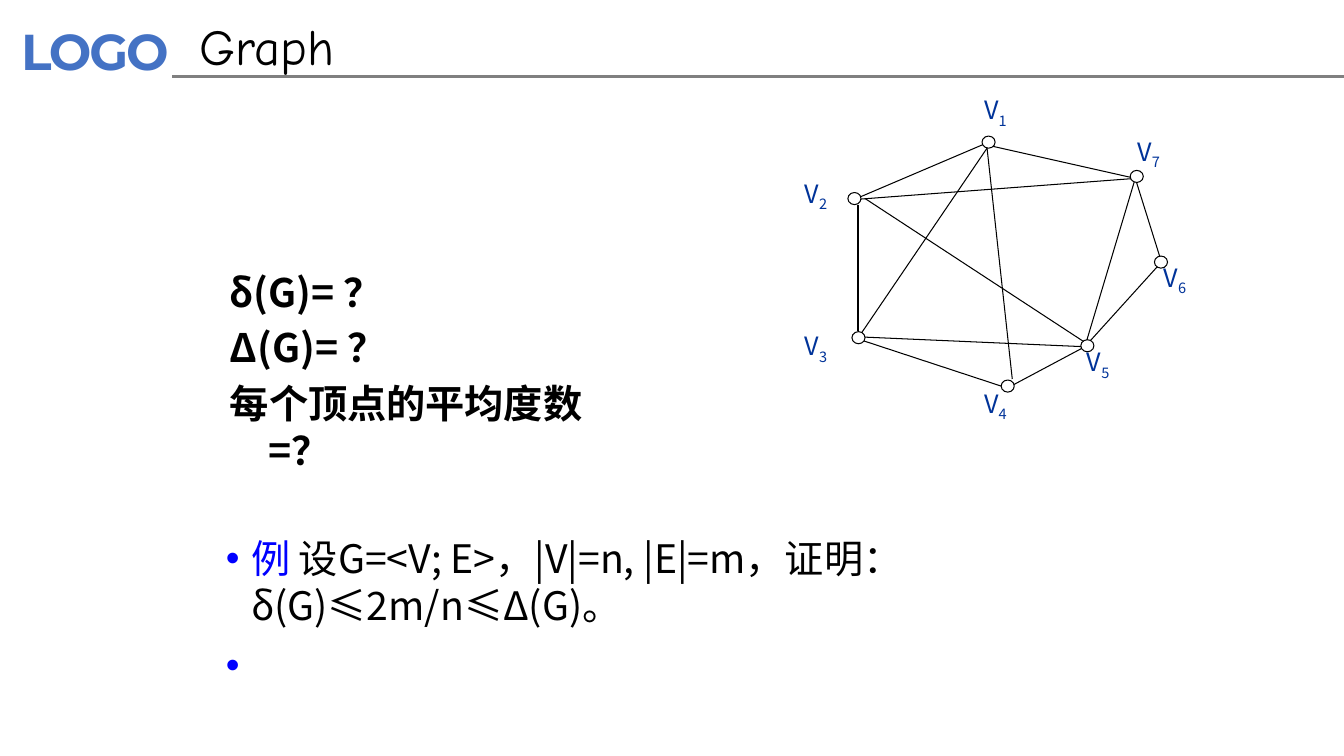
from typing import NamedTuple

from lxml.etree import SubElement
from pptx import Presentation
from pptx.dml.color import RGBColor
from pptx.enum.shapes import MSO_CONNECTOR as Connector, MSO_SHAPE as Shape
from pptx.enum.text import MSO_ANCHOR as Anchor, MSO_AUTO_SIZE as AutoSize, PP_ALIGN as Align
from pptx.oxml.ns import qn
from pptx.util import Emu, Pt

SANS = "Noto Sans CJK SC"
BLACK, WHITE, GRAY, BLUE, NAVY, LOGO_BLUE = (
    "000000", "FFFFFF", "808080", "0000FF", "003399", "4472C4")
EMU_PER_PX = 9144  # 100 px to the inch


class Box(NamedTuple):
    left: int
    top: int
    width: int
    height: int


class Vertex(NamedTuple):
    number: int
    left: int
    top: int
    label_left: int
    label_top: int


class Edge(NamedTuple):
    x1: int
    y1: int
    x2: int
    y2: int


VERTICES = [
    Vertex(1, 974, 135, 974, 94),
    Vertex(2, 841, 191, 796, 177),
    Vertex(3, 845, 329, 796, 328),
    Vertex(4, 993, 377, 974, 385),
    Vertex(5, 1072, 337, 1076, 344),
    Vertex(6, 1145, 254, 1152, 260),
    Vertex(7, 1121, 169, 1126, 135),
]
EDGES = [
    Edge(984, 145, 1126, 177),   # V1-V7
    Edge(976, 143, 847, 198),    # V1-V2
    Edge(979, 147, 852, 334),    # V1-V3
    Edge(979, 147, 1004, 376),   # V1-V4
    Edge(858, 197, 1075, 339),   # V2-V5
    Edge(851, 203, 851, 328),    # V2-V3
    Edge(847, 198, 1126, 177),   # V2-V7
    Edge(847, 335, 999, 385),    # V3-V4
    Edge(847, 334, 1076, 344),   # V3-V5
    Edge(999, 385, 1076, 344),   # V4-V5
    Edge(1076, 344, 1126, 177),  # V5-V7
    Edge(1076, 344, 1152, 260),  # V5-V6
    Edge(1152, 260, 1126, 177),  # V6-V7
]
QUESTIONS = ["δ(G)= ？", "Δ(G)= ？", "每个顶点的平均度数=？"]
EXAMPLE = [
    [("例 ", BLUE), ("设G=<V; E>，|V|=n, |E|=m，证明：δ(G)≤2m/n≤Δ(G)。", BLACK)],
    [(" ", BLUE)],
]


def px(value: int) -> Emu:
    return Emu(value * EMU_PER_PX)


def color(value: str) -> RGBColor:
    return RGBColor.from_string(value)


def apply(target, values: dict) -> None:
    for name, value in values.items():
        setattr(target, name, value)


def place(shape, box: Box) -> None:
    apply(shape, {name: px(value) for name, value in box._asdict().items()})


def format_frame(frame, margins: tuple, wrap: bool = True, anchor=Anchor.TOP) -> None:
    names = ("margin_left", "margin_top", "margin_right", "margin_bottom")
    apply(frame, dict(zip(names, map(px, margins))))
    apply(frame, {"auto_size": AutoSize.NONE, "word_wrap": wrap, "vertical_anchor": anchor})


def add_run(paragraph, text: str, size: int, font: str, hue: str, bold: bool = False):
    run = paragraph.add_run()
    run.text = text
    apply(run.font, {"size": Pt(size), "name": font, "bold": bold})
    run.font.color.rgb = color(hue)
    properties = run.font._element
    SubElement(properties, qn("a:ea"), typeface=font)
    return properties


def format_item(paragraph, indent: int, bullet: str = "") -> None:
    properties = paragraph._p.get_or_add_pPr()
    properties.set("marL", str(px(indent)))
    properties.set("indent", str(-px(indent)))
    if bullet:
        bullet_color = SubElement(properties, qn("a:buClr"))
        SubElement(bullet_color, qn("a:srgbClr"), val=BLUE)
        SubElement(properties, qn("a:buFont"), typeface="Arial")
        SubElement(properties, qn("a:buChar"), char=bullet)
    else:
        SubElement(properties, qn("a:buNone"))


def add_items(frame, items: list, indent: int, gap: int, bullet: str = "",
              bold: bool = False) -> None:
    for index, runs in enumerate(items):
        paragraph = frame.add_paragraph() if index else frame.paragraphs[0]
        format_item(paragraph, indent, bullet)
        apply(paragraph, {"alignment": Align.LEFT, "line_spacing": 1.0,
                          "space_before": Pt(gap if index else 0)})
        for text, hue in runs:
            add_run(paragraph, text, 28, SANS, hue, bold)


def add_line(shapes, edge: Edge, hue: str, width: float) -> None:
    line = shapes.add_connector(Connector.STRAIGHT, *map(px, edge))
    line.line.color.rgb = color(hue)
    line.line.width = Pt(width)
    SubElement(line._element.spPr, qn("a:effectLst"))


def add_vertex(shapes, vertex: Vertex) -> None:
    node = shapes.add_shape(Shape.FLOWCHART_CONNECTOR,
                            *map(px, Box(vertex.left, vertex.top, 13, 12)))
    node.shadow.inherit = False
    node.fill.solid()
    node.fill.fore_color.rgb = color(WHITE)
    node.line.color.rgb = color(BLACK)
    node.line.width = Pt(0.75)

    label = shapes.add_textbox(*map(px, Box(vertex.label_left, vertex.label_top, 51, 42)))
    format_frame(label.text_frame, (2, 0, 2, 0))
    paragraph = label.text_frame.paragraphs[0]
    add_run(paragraph, "V", 18, SANS, NAVY)
    add_run(paragraph, str(vertex.number), 18, SANS, NAVY).set("baseline", "-25000")


def main() -> None:
    presentation = Presentation()
    apply(presentation, {"slide_width": px(1333), "slide_height": px(750)})
    slide = presentation.slides.add_slide(presentation.slide_layouts[3])
    title, example, questions = slide.placeholders

    # Header
    logo = slide.shapes.add_textbox(*map(px, Box(8, 13, 186, 74)))
    format_frame(logo.text_frame, (13, 7, 13, 7), wrap=False)
    add_run(logo.text_frame.paragraphs[0], "LOGO", 36, "Montserrat", LOGO_BLUE,
            bold=True).set("spc", "-150")
    add_line(slide.shapes, Edge(171, 76, 1333, 76), GRAY, 2)
    place(title, Box(188, 10, 862, 71))
    format_frame(title.text_frame, (10, 5, 10, 5), anchor=Anchor.MIDDLE)
    heading = title.text_frame.paragraphs[0]
    heading.alignment = Align.LEFT
    add_run(heading, "Graph", 36, "Comic Neue", BLACK)

    # Example with its claim
    place(example, Box(214, 522, 835, 189))
    format_frame(example.text_frame, (10, 8, 10, 5))
    add_items(example.text_frame, EXAMPLE, indent=25, gap=9, bullet="•")

    # Questions about degrees
    place(questions, Box(218, 183, 437, 283))
    format_frame(questions.text_frame, (10, 83, 60, 5))
    add_items(questions.text_frame, [[(text, BLACK)] for text in QUESTIONS],
              indent=38, gap=6, bold=True)

    # Graph
    graph = slide.shapes.add_group_shape()
    for edge in EDGES:
        add_line(graph.shapes, edge, BLACK, 0.75)
    for vertex in VERTICES:
        add_vertex(graph.shapes, vertex)

    presentation.save("out.pptx")


if __name__ == "__main__":
    main()
